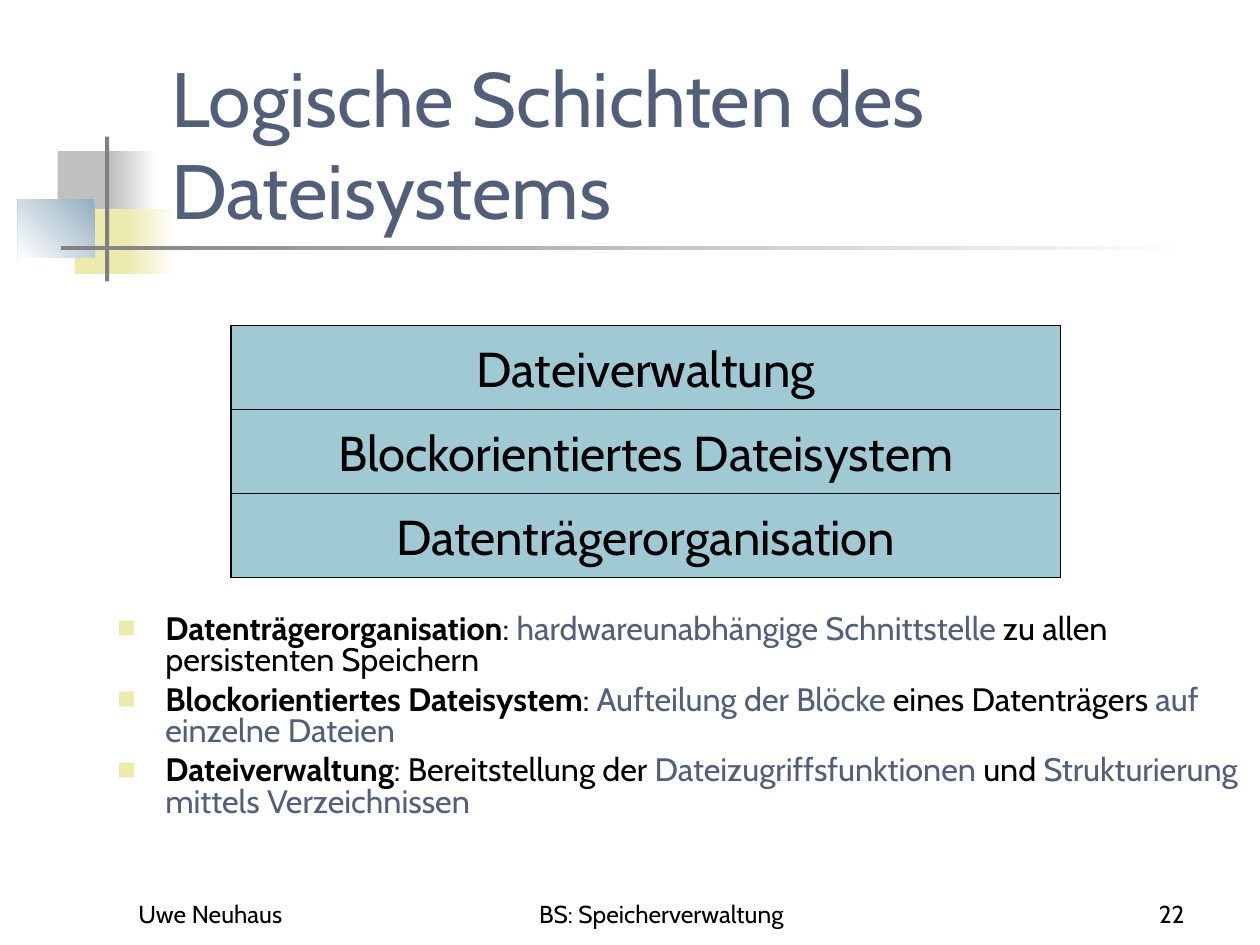
from lxml import etree
from pptx import Presentation
from pptx import util as u
from pptx.dml.color import RGBColor
from pptx.enum import shapes, text
from pptx.oxml.ns import qn

THEME = {
    "font": "Cabin",
    "title": 44, "layer": 28, "body": 18.5, "footer": 14,
    "ink": RGBColor.from_string("000000"),
    "accent": RGBColor.from_string("515F7B"),
    "layer_fill": RGBColor.from_string("9FCAD3"),
    "white": RGBColor.from_string("FFFFFF"),
    "silver": RGBColor.from_string("C0C0C0"),
    "gray": RGBColor.from_string("808080"),
    "yellow": RGBColor.from_string("ECEAAC"),
    "blue": RGBColor.from_string("91AFBF"),
}

deck = Presentation()
deck.slide_width, deck.slide_height = u.Inches(10), u.Inches(7.5)
CELL = deck.slide_width / 120  # the grid has 120 columns and 90 rows
page = deck.slides.add_slide(deck.slide_layouts[5])


def grid(*cells):
    """Turn left, top, width and height in grid cells into lengths."""
    return [u.Emu(round(cell * CELL)) for cell in cells]


def style(para, size, color, align=text.PP_ALIGN.LEFT):
    para.alignment = align
    para.font.name = THEME["font"]
    para.font.size = u.Pt(THEME[size])
    para.font.color.rgb = THEME[color]


# Corner ornament: a gradient angle of None means a solid fill
ornament = [
    ("silver", None, (5.5, 14.4, 5.8, 6.2)),
    ("silver", 0, (10.6, 14.4, 4.3, 6.2)),
    ("yellow", None, (7.1, 19.9, 5.5, 6.2)),
    ("yellow", 0, (12, 19.9, 4.8, 6.2)),
    ("blue", 225, (1.7, 19, 7.3, 5.5)),
    ("gray", None, (10, 13, 0.4, 13.8)),
    ("gray", 0, (5.8, 23.4, 108, 0.4)),
]
for color, angle, cells in ornament:
    box = page.shapes.add_shape(shapes.MSO_SHAPE.RECTANGLE, *grid(*cells))
    box.shadow.inherit = False
    box.line.fill.background()
    if angle is None:
        box.fill.solid()
        box.fill.fore_color.rgb = THEME[color]
    else:
        box.fill.gradient()
        box.fill.gradient_angle = angle
        for stop, name, position in zip(box.fill.gradient_stops, (color, "white"), (0, 1)):
            stop.color.rgb = THEME[name]
            stop.position = position

# Title, in front of the ornament
title = page.shapes.title
title.element.getparent().append(title.element)
title.left, title.top, title.width, title.height = grid(15.1, 8, 102.2, 15)
title.text_frame.text = "Logische Schichten des Dateisystems"
title.text_frame.vertical_anchor = text.MSO_ANCHOR.BOTTOM
title.text_frame.auto_size = text.MSO_AUTO_SIZE.NONE
style(title.text_frame.paragraphs[0], "title", "accent")

# Explanations: runs of (text, colour, bold)
explanations = [
    [("Datenträgerorganisation", "ink", True), (": ", "ink", False),
     ("hardwareunabhängige Schnittstelle", "accent", False),
     (" zu allen persistenten Speichern", "ink", False)],
    [("Blockorientiertes Dateisystem", "ink", True), (": ", "ink", False),
     ("Aufteilung der Blöcke", "accent", False),
     (" eines Datenträgers ", "ink", False),
     ("auf einzelne Dateien", "accent", False)],
    [("Dateiverwaltung", "ink", True), (": Bereitstellung der ", "ink", False),
     ("Dateizugriffsfunktionen", "accent", False), (" und ", "ink", False),
     ("Strukturierung mittels Verzeichnissen", "accent", False)],
]
body = page.shapes.add_textbox(*grid(10, 58, 110, 22)).text_frame
body.word_wrap = True
for index, runs in enumerate(explanations):
    para = body.paragraphs[0] if index == 0 else body.add_paragraph()
    para.line_spacing = 0.8
    para.space_before = u.Pt(5 if index else 0)
    props = para._p.get_or_add_pPr()
    indent = u.Inches(0.38)
    props.set("marL", str(indent))
    props.set("indent", str(-indent))
    bullet_color = etree.SubElement(props, qn("a:buClr"))
    etree.SubElement(bullet_color, qn("a:srgbClr"), val=str(THEME["yellow"]))
    etree.SubElement(props, qn("a:buSzPct"), val="60000")
    etree.SubElement(props, qn("a:buFont"), typeface=THEME["font"])
    etree.SubElement(props, qn("a:buChar"), char="■")
    style(para, "body", "ink")
    for words, color, bold in runs:
        span = para.add_run()
        span.text = words
        span.font.bold = bold
        span.font.color.rgb = THEME[color]

# Stack of layers
layers = ["Dateiverwaltung", "Blockorientiertes Dateisystem", "Datenträgerorganisation"]
for index, name in enumerate(layers):
    box = page.shapes.add_shape(shapes.MSO_SHAPE.RECTANGLE, *grid(22, 31 + 8 * index, 79, 8))
    box.shadow.inherit = False
    box.fill.solid()
    box.fill.fore_color.rgb = THEME["layer_fill"]
    box.line.color.rgb = THEME["ink"]
    box.line.width = u.Pt(0.75)
    box.text_frame.text = name
    box.text_frame.word_wrap = False
    box.text_frame.vertical_anchor = text.MSO_ANCHOR.MIDDLE
    style(box.text_frame.paragraphs[0], "layer", "ink", text.PP_ALIGN.CENTER)

# Footer
footer = [
    ("Uwe Neuhaus", 12, 25, text.PP_ALIGN.LEFT),
    ("BS: Speicherverwaltung", 44, 38, text.PP_ALIGN.CENTER),
    ("22", 89, 25, text.PP_ALIGN.RIGHT),
]
for words, left, width, align in footer:
    frame = page.shapes.add_textbox(*grid(left, 83, width, 6)).text_frame
    frame.text = words
    frame.word_wrap = True
    frame.vertical_anchor = text.MSO_ANCHOR.BOTTOM
    style(frame.paragraphs[0], "footer", "ink", align)

deck.save("out.pptx")
